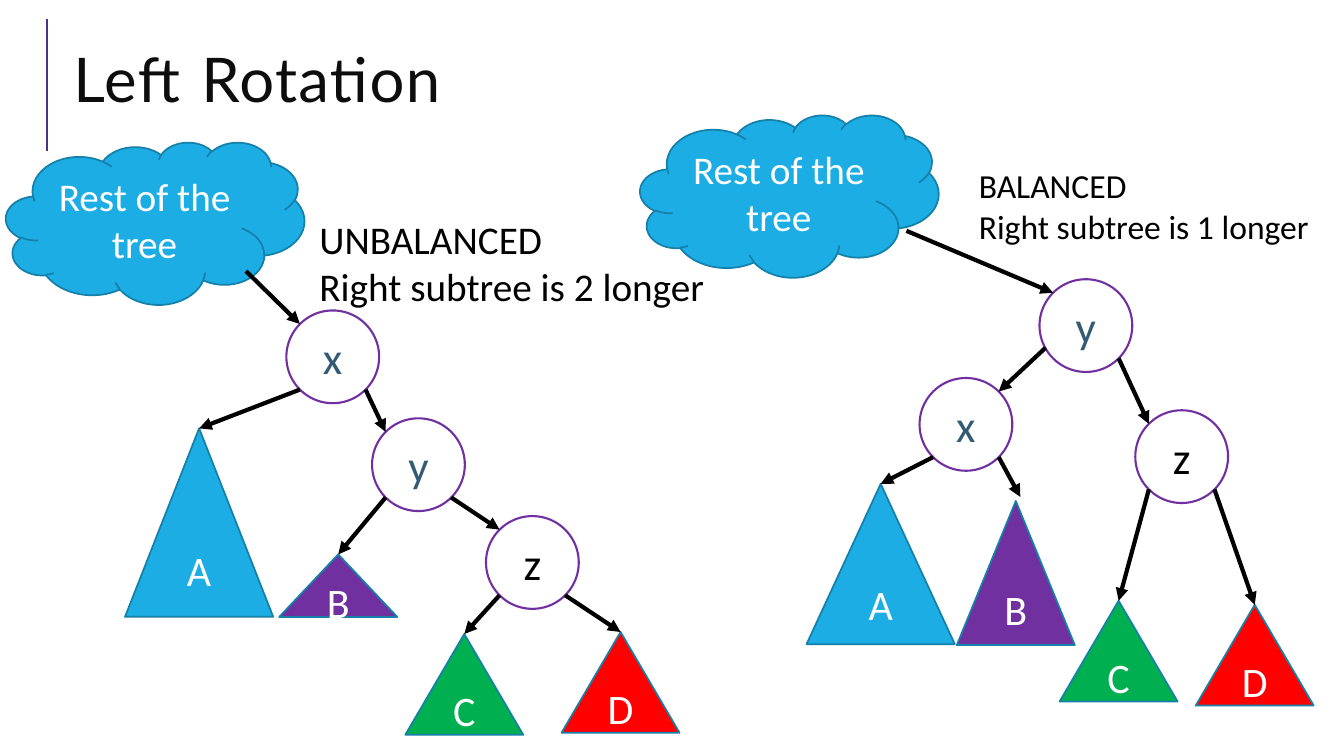
from math import sqrt
from lxml.etree import SubElement
from pptx import Presentation
from pptx.dml.color import RGBColor
from pptx.enum.shapes import MSO_CONNECTOR as Connector, MSO_SHAPE as Shape
from pptx.enum.text import MSO_ANCHOR as Anchor, PP_ALIGN as Align
from pptx.oxml.ns import qn
from pptx.util import Inches, Pt

# Content: places in inches; nodes by left, top; subtrees by left, top, width, height
TITLE = "Left Rotation"
CLOUD_TEXT = "Rest of the tree"
TREES = [
    {
        "caption": ["UNBALANCED", "Right subtree is 2 longer"],
        "caption_box": (3.07, 2.09, 4.55, 1.04), "caption_size": 28,
        "cloud": (0.06, 1.41), "root": "x", "root_start": (2.44, 2.69),
        "nodes": {"x": (2.84, 3.08), "y": (3.69, 4.15), "z": (4.82, 5.12)},
        "subtrees": {"A": (1.24, 4.25, 1.47, 1.87), "B": (2.77, 5.5, 1.17, 0.62),
                     "C": (4.02, 6.29, 1.17, 1), "D": (5.57, 6.27, 1.17, 1)},
        "children": {"x": "Ay", "y": "Bz", "z": "CD"},
        "starts": {}, "ends": {},
    },
    {
        "caption": ["BALANCED", "Right subtree is 1 longer"],
        "caption_box": (9.61, 1.59, 3.76, 0.91), "caption_size": 24,
        "cloud": (6.35, 1.14), "root": "y", "root_start": (8.99, 2.29),
        "nodes": {"x": (9.12, 3.75), "y": (10.31, 2.77), "z": (11.26, 4.07)},
        "subtrees": {"A": (8, 4.8, 1.47, 1.59), "B": (9.49, 4.97, 1.17, 1.43),
                     "C": (10.51, 5.96, 1.17, 1), "D": (11.86, 6, 1.17, 1)},
        "children": {"y": "xz", "x": "AB", "z": "CD"},
        "starts": {"yx": (10.37, 3.45)}, "ends": {"xB": (10.12, 4.93)},
    },
]
NODE_COLORS = {"x": "335B74", "y": "335B74", "z": "000000"}
SUBTREE_FILLS = {"A": "1CADE4", "B": "7030A0", "C": "00B050", "D": "FF0000"}
CLOUD_SIZE = (2.96, 1.61)
NODE_SIZE = 0.92
DIAGONAL = NODE_SIZE / 2 / sqrt(2)

presentation = Presentation()
presentation.slide_width, presentation.slide_height = Inches(13.33), Inches(7.5)
slide = presentation.slides.add_slide(presentation.slide_layouts[6])


def color(hex_text):
    return RGBColor.from_string(hex_text)


def format_text(frame, size, hex_text, name="Calibri", align=Align.LEFT):
    frame.word_wrap = True
    for paragraph in frame.paragraphs:
        paragraph.alignment = align
        for run in paragraph.runs:
            run.font.size, run.font.name = Pt(size), name
            run.font.color.rgb = color(hex_text)


def add_part(kind, box, text, fill, line, width, size, text_color):
    shape = slide.shapes.add_shape(kind, *map(Inches, box))
    shape.shadow.inherit = False
    shape.fill.solid()
    shape.fill.fore_color.rgb = color(fill)
    shape.line.color.rgb = color(line)
    shape.line.width = Pt(width)
    shape.text_frame.text = text
    shape.text_frame.vertical_anchor = Anchor.MIDDLE
    format_text(shape.text_frame, size, text_color, align=Align.CENTER)


def add_text(box, lines, size, hex_text, name="Calibri"):
    frame = slide.shapes.add_textbox(*map(Inches, box)).text_frame
    frame.text = "\n".join(lines)
    format_text(frame, size, hex_text, name)
    return frame


def add_line(start, end, hex_text, width, arrow=True):
    line = slide.shapes.add_connector(Connector.STRAIGHT, *map(Inches, start + end))
    line.line.color.rgb = color(hex_text)
    line.line.width = Pt(width)
    if arrow:
        SubElement(line.line._get_or_add_ln(), qn("a:tailEnd"), type="triangle")
    SubElement(line._element.spPr, qn("a:effectLst"))


def node_corner(tree, name, side, level):
    """Point on a node's circle: side -1 left or 1 right, level -1 top or 1 bottom."""
    left, top = tree["nodes"][name]
    middle = NODE_SIZE / 2
    return (left + middle + side * DIAGONAL, top + middle + level * DIAGONAL)


def child_top(tree, name, side):
    """Arrows meet a node on the side facing its parent, and a subtree at its apex."""
    if name in tree["nodes"]:
        return node_corner(tree, name, -side, -1)
    left, top, width, _ = tree["subtrees"][name]
    return (left + width / 2, top)


# Title with its accent line
add_line((0.47, 1.5), (0.47, 0.19), "4C3282", 1.5, arrow=False)
title = add_text((0.63, 0.29, 12.23, 1.11), [TITLE], 44, "0D0D0D", "Lato")
title.vertical_anchor = Anchor.MIDDLE
title.paragraphs[0].line_spacing = 0.8
title.paragraphs[0].runs[0]._r.get_or_add_rPr().set("spc", "100")

for tree in TREES:
    # Cloud, nodes and subtrees
    add_part(Shape.CLOUD, tree["cloud"] + CLOUD_SIZE, CLOUD_TEXT,
             "1CADE4", "1580A9", 1.25, 28, "FFFFFF")
    for name, place in tree["nodes"].items():
        add_part(Shape.OVAL, place + (NODE_SIZE, NODE_SIZE), name,
                 "FFFFFF", "7030A0", 1.5, 32, NODE_COLORS[name])
    for name, box in tree["subtrees"].items():
        add_part(Shape.ISOSCELES_TRIANGLE, box, name,
                 SUBTREE_FILLS[name], "1580A9", 1.25, 30, "FFFFFF")

    # Arrows from the cloud to the root and from each node to its children
    add_line(tree["root_start"], node_corner(tree, tree["root"], -1, -1), "000000", 3)
    for parent, children in tree["children"].items():
        for side, child in zip((-1, 1), children):
            edge = parent + child
            start = tree["starts"].get(edge, node_corner(tree, parent, side, 1))
            end = tree["ends"].get(edge, child_top(tree, child, side))
            add_line(start, end, "000000", 3)

    # Caption
    add_text(tree["caption_box"], tree["caption"], tree["caption_size"], "000000")

presentation.save("out.pptx")
